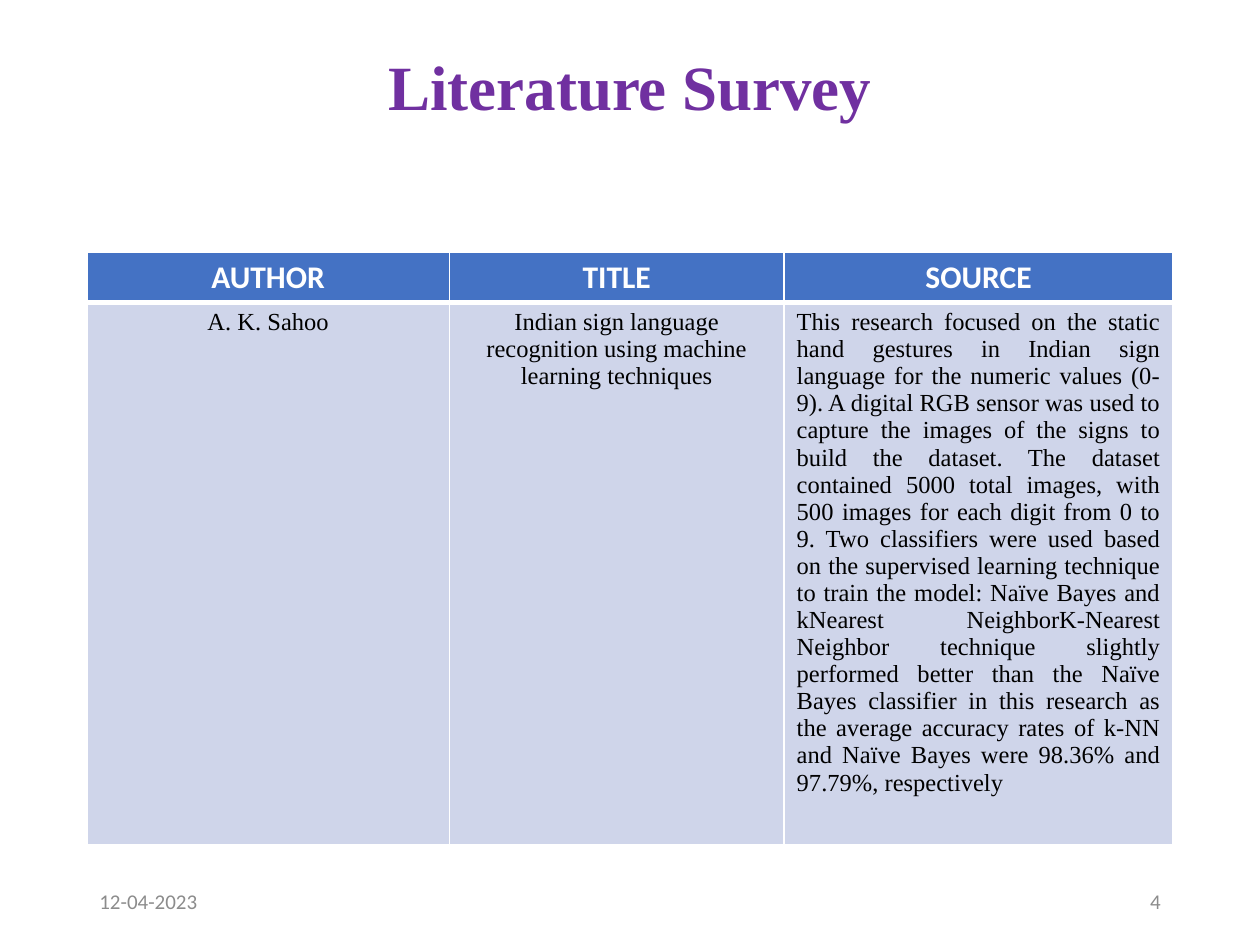
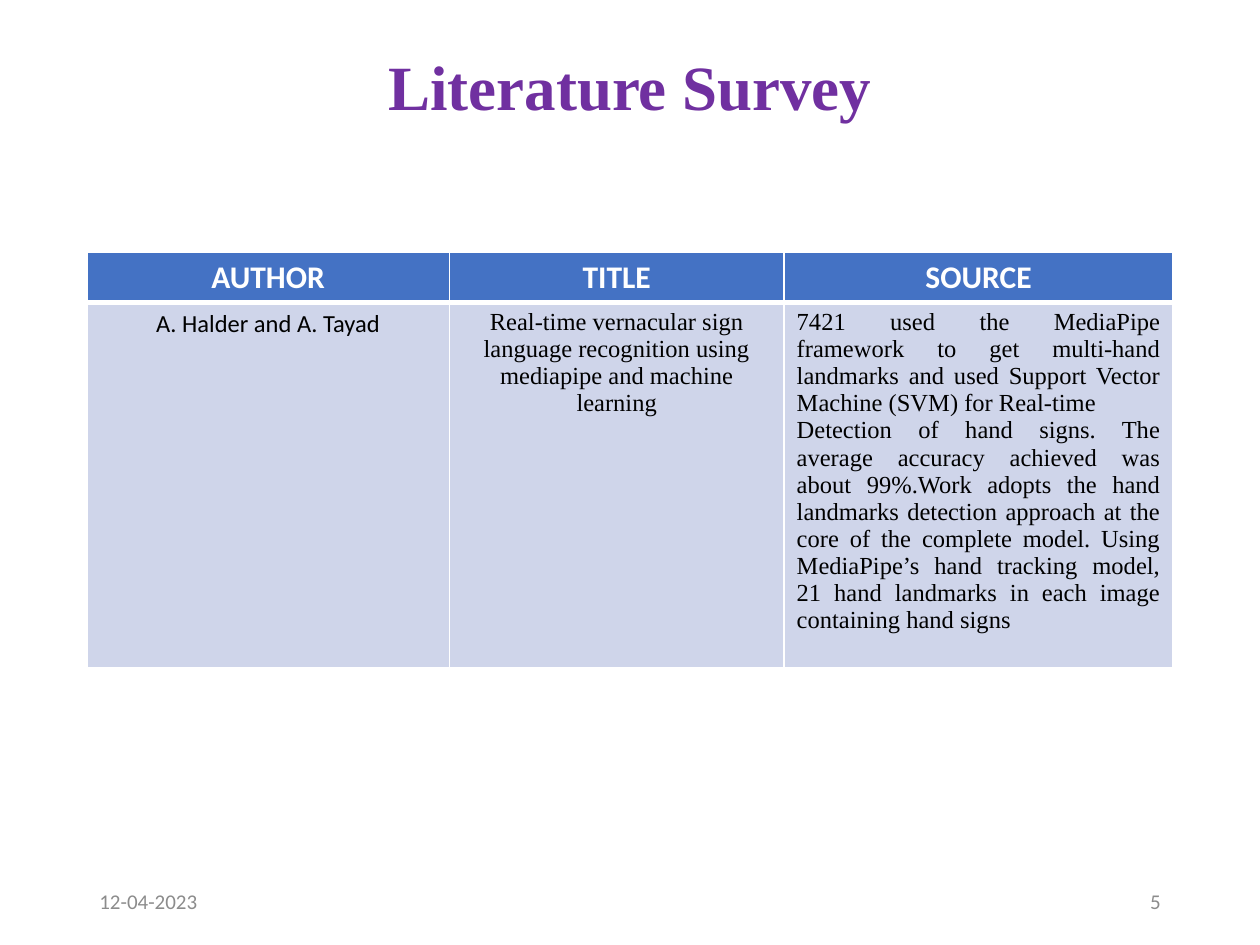
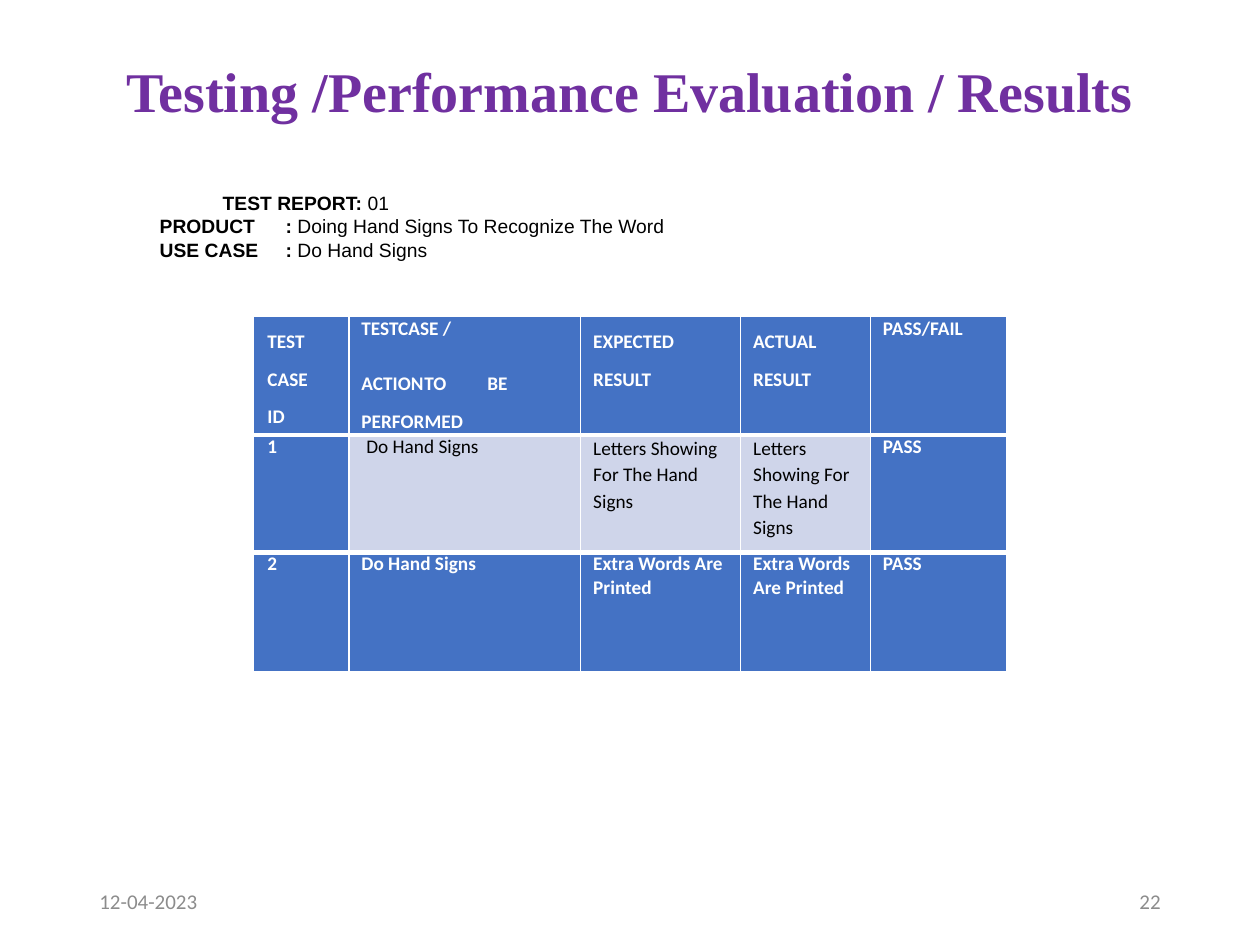
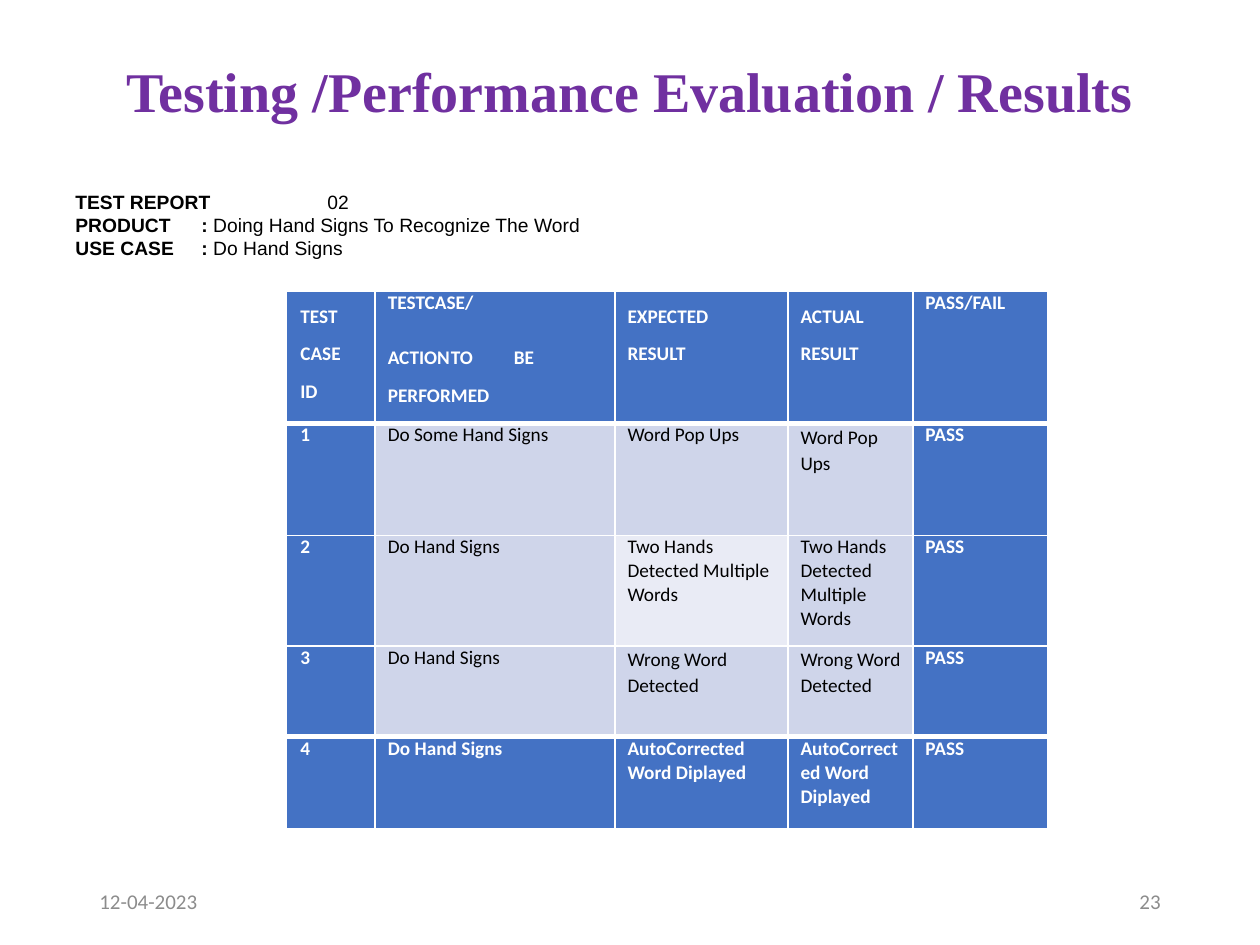
from lxml.etree import SubElement as add_element
from pptx import Presentation
from pptx.dml.color import RGBColor
from pptx.enum.text import MSO_ANCHOR as Anchor, MSO_AUTO_SIZE as AutoSize, PP_ALIGN as Align
from pptx.oxml.ns import qn
from pptx.util import Pt

COLORS = {
    "title": "7030A0", "header": "4472C4", "band": "CFD5EA", "pale": "E9EBF5",
    "white": "FFFFFF", "black": "000000", "footer": "8C8C8C",
}
SERIF, SANS, REPORT = "Times New Roman", "Calibri", "Arial"
HEADING = {"name": SANS, "size": 18, "bold": True, "color": "white"}
BODY = {"name": SERIF, "size": 14, "bold": False, "color": "black"}
CASE = {"name": SANS, "size": 11, "bold": False, "color": "black"}
CASE_BOLD = {**CASE, "bold": True, "color": "white"}
LEFT, WIDTH = 49.68, 620.64


def set_values(target, values):
    for name, value in values.items():
        setattr(target, name, value)


def style_font(font, style):
    font.color.rgb = RGBColor.from_string(COLORS[style["color"]])
    set_values(font, {"name": style["name"], "size": Pt(style["size"]), "bold": style["bold"]})


def write_para(para, spans, style, indent=0, tabs=(), **values):
    properties = para._p.get_or_add_pPr()
    if indent:
        properties.set("marL", str(Pt(indent)))
        properties.set("indent", "0")
    if tabs:
        stops = add_element(properties, qn("a:tabLst"))
        for position in tabs:
            add_element(stops, qn("a:tab"), pos=str(Pt(position)), algn="l")
    set_values(para, values)
    for text, changes in spans:
        for number, line in enumerate(text.split("\n")):
            if number:
                para.add_line_break()
            span = para.add_run()
            span.text = line
            style_font(span.font, {**style, **changes})


def write_frame(frame, paragraphs, style, **shared):
    for number, (spans, values) in enumerate(paragraphs):
        para = frame.add_paragraph() if number else frame.paragraphs[0]
        if isinstance(spans, str):
            spans = [(spans, {})]
        write_para(para, spans, style, **{**shared, **values})


def add_text(page, box, paragraphs, style, frame_values=None, **shared):
    frame = page.shapes.add_textbox(*map(Pt, box)).text_frame
    set_values(frame, {"word_wrap": True, "vertical_anchor": Anchor.MIDDLE, **(frame_values or {})})
    write_frame(frame, paragraphs, style, **shared)


def add_frame_parts(page, title, size, height, number):
    add_text(page, (LEFT, 28.8, WIDTH, height), [(title, {})],
             {"name": SERIF, "size": size, "bold": True, "color": "title"},
             alignment=Align.CENTER, line_spacing=0.9)
    footer = {"name": SANS, "size": 12, "bold": False, "color": "footer"}
    width = 162
    for left, text, side in ((LEFT, "12-04-2023", Align.LEFT),
                             (LEFT + WIDTH - width, str(number), Align.RIGHT)):
        add_text(page, (left, 500.5, width, 28.8), [(text, {})], footer, alignment=side)


def add_grid(page, box, columns, rows):
    holder = page.shapes.add_table(len(rows), len(columns), *map(Pt, box))
    table = holder.table
    set_values(table, {"first_row": False, "horz_banding": False})
    for column, width in zip(table.columns, columns):
        column.width = Pt(width)
    for row, height in zip(table.rows, rows):
        row.height = Pt(height)
    set_values(holder, {"width": Pt(box[2]), "height": Pt(box[3])})
    return table


def paint_cell(cell, row, thick_edges, fill):
    properties = cell._tc.get_or_add_tcPr()
    widths = {"L": 1, "R": 1, "T": 3 if row in thick_edges else 1,
              "B": 3 if row + 1 in thick_edges else 1}
    for side, width in widths.items():
        line = add_element(properties, qn(f"a:ln{side}"), w=str(Pt(width)))
        paint = add_element(line, qn("a:solidFill"))
        add_element(paint, qn("a:srgbClr"), val=COLORS["white"])
    cell.fill.solid()
    cell.fill.fore_color.rgb = RGBColor.from_string(COLORS[fill])


def add_survey(page, box, entry):
    table = add_grid(page, box, (207.1, 191.3, 222.24), (20.16, 20.16))
    headings = [([(name, {})], HEADING, Align.CENTER) for name in ("AUTHOR", "TITLE", "SOURCE")]
    for row, (line, fill) in enumerate(((headings, "header"), (entry, "band"))):
        for column, (paragraphs, style, side) in enumerate(line):
            cell = table.cell(row, column)
            paint_cell(cell, row, {1}, fill)
            write_frame(cell.text_frame, paragraphs, style, alignment=side)


def add_cases(page, box, columns, heights, action, cases, changes):
    table = add_grid(page, box, columns, heights)
    last_row, last_column = len(heights) - 1, len(columns) - 1
    spread = {"line_spacing": 1.58}
    header = [
        [("TEST CASE ID", {**spread, "alignment": Align.JUSTIFY})],
        action,
        [("EXPECTED RESULT", spread)],
        [("ACTUAL RESULT", spread)],
        [("PASS/FAIL", {})],
    ]
    lines = [header]
    for number, (doing, expected, actual, spacing) in enumerate(cases, 1):
        loose = {"line_spacing": spacing}
        lines.append([[(str(number), {})], [(doing, {})], [(expected, loose)],
                      [(actual, loose)], [("PASS", {})]])
    for row, line in enumerate(lines):
        for column, paragraphs in enumerate(line):
            cell = table.cell(row, column)
            strong = row in (0, last_row) or column in (0, last_column)
            options = dict(changes.get((row, column), {}))
            fill = options.pop("fill", "header" if strong else "band")
            right = {(0, 0): 14.4, (0, 2): 28.8}.get((row, column), 3.6)
            set_values(cell, {"margin_left": 0, "margin_top": 0, "margin_bottom": 0,
                              "margin_right": Pt(right)})
            paint_cell(cell, row, {1, last_row}, fill)
            paragraphs = [(text, {**values, **options}) for text, values in paragraphs]
            write_frame(cell.text_frame, paragraphs, CASE_BOLD if strong else CASE,
                        indent=7.9 if column == 0 else 7.2)


def add_report(page, box, first_line):
    bold = {"bold": True}
    paragraphs = [first_line] + [
        ([(f"{label}\t: ", bold), (text, {})], {})
        for label, text in (("PRODUCT", "Doing Hand Signs To Recognize The Word"),
                            ("USE CASE", "Do Hand Signs"))
    ]
    add_text(page, box, paragraphs, {**CASE, "name": REPORT},
             {"margin_bottom": Pt(24.3), "auto_size": AutoSize.SHAPE_TO_FIT_TEXT}, tabs=(72, 144))


def action_heading(first, tabs):
    return [(first, {}), ("ACTION\tTO\tBE PERFORMED",
                          {"line_spacing": 1.6, "space_before": Pt(9.8), "tabs": tabs})]


SAHOO = [
    ([("A. K. Sahoo", {})], BODY, Align.CENTER),
    ([("Indian sign language recognition using machine learning techniques", {})], BODY, Align.CENTER),
    ([("This research focused on the static hand gestures in Indian sign language for the numeric "
       "values (0-9). A digital RGB sensor was used to capture the images of the signs to build the "
       "dataset. The dataset contained 5000 total images, with 500 images for each digit from 0 to 9. "
       "Two classifiers were used based on the supervised learning technique to train the model: "
       "Naïve Bayes and kNearest NeighborK-Nearest Neighbor technique slightly performed better than "
       "the Naïve Bayes classifier in this research as the average accuracy rates of k-NN and Naïve "
       "Bayes were 98.36% and 97.79%, respectively", {})], BODY, Align.JUSTIFY),
]
HALDER = [
    ([("A. Halder and A. Tayad", {})], {**BODY, "name": SANS}, Align.CENTER),
    ([("Real-time vernacular sign language recognition using mediapipe and machine learning", {})],
     BODY, Align.CENTER),
    ([("7421 used the MediaPipe\nframework to get multi-hand landmarks and used Support Vector "
       "Machine (SVM) for Real-time", {}),
      ("Detection of hand signs. The average accuracy achieved was about 99%.Work adopts the hand "
       "landmarks detection approach at the core of the complete model. Using MediaPipe’s hand "
       "tracking model, 21 hand landmarks in each image containing hand signs", {})],
     BODY, Align.JUSTIFY),
]
FIRST_CASES = [
    ("Do Hand Signs", "Letters Showing For The Hand Signs", "Letters Showing For The Hand Signs", 1.1),
    ("Do Hand Signs", "Extra Words Are Printed", "Extra Words Are Printed", 1.01),
]
SECOND_CASES = [
    ("Do Some Hand Signs", "Word Pop Ups", "Word Pop Ups", 1.1),
    ("Do Hand Signs", "Two Hands Detected Multiple Words", "Two Hands Detected Multiple Words", 1.01),
    ("Do Hand Signs", "Wrong Word Detected", "Wrong Word Detected", 1.08),
    ("Do Hand Signs", "AutoCorrected Word Diplayed", "AutoCorrect ed Word Diplayed", 1.01),
]


def main():
    deck = Presentation()
    set_values(deck, {"slide_width": Pt(720), "slide_height": Pt(540)})
    blank = deck.slide_layouts[6]

    for number, entry, height in ((4, SAHOO, 338.4), (5, HALDER, 237.6)):
        page = deck.slides.add_slide(blank)
        add_frame_parts(page, "Literature Survey", 36, 45.4, number)
        add_survey(page, (LEFT, 144, WIDTH, height), entry)

    results = "Testing /Performance Evaluation / Results"
    page = deck.slides.add_slide(blank)
    add_frame_parts(page, results, 32, 49.7, 22)
    add_cases(page, (144.9, 180.9, 430.6, 203), (54.4, 132.5, 91.4, 74.2, 78.1), (67.7, 67, 68.3),
              action_heading("TESTCASE /", (78.5, 118.8)), FIRST_CASES, {(1, 1): {"indent": 10}})
    add_report(page, (84.2, 105.1, 313.9, 69.1),
               ([("TEST REPORT: ", {"bold": True}), ("01", {})], {"indent": 36}))

    page = deck.slides.add_slide(blank)
    add_frame_parts(page, results, 32, 49.7, 23)
    add_cases(page, (163.7, 166.3, 434.9, 307.4), (50.7, 137, 98.9, 71.4, 76.9),
              (75.6, 64, 63.4, 51.8, 52.6), action_heading("TESTCASE/", (80.6, 121.7)), SECOND_CASES,
              {(1, 2): {"line_spacing": 1.0}, (2, 2): {"fill": "pale"}})
    add_report(page, (36, 121, 684, 36), ([("TEST REPORT\t", {"bold": True}), ("02", {})], {}))

    deck.save("out.pptx")


if __name__ == "__main__":
    main()
